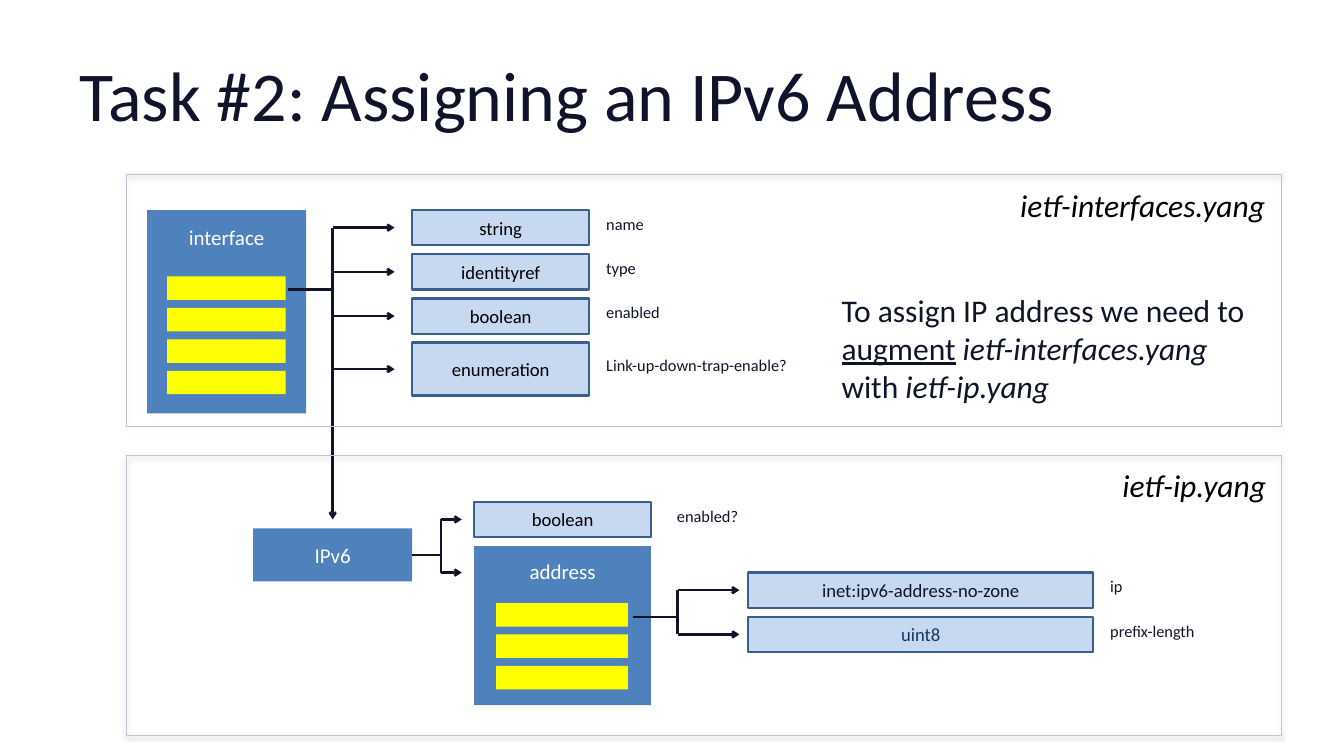
from lxml import etree
from pptx import Presentation
from pptx import util as u
from pptx.dml.color import RGBColor
from pptx.enum import shapes, text
from pptx.oxml.ns import qn

INK, BLUE, PALE, EDGE, YELLOW = "0F142A", "4F81BD", "C6D9F1", "3A5F8C", "FFFF00"
BLACK, WHITE, FRAME = "000000", "FFFFFF", "C3C3CC"
FONT = "Calibri"

# The diagram stands on a square grid that starts at the interface block.
CELL = 2 / 19
LEFT, TOP = 1.75, 2.5
SLOT_STEP, SLOT_HEIGHT = 3.56, 2.66

TITLE = "Task #2: Assigning an IPv6 Address"

# name, block (column, row, columns, rows), name row, slots (column, row, columns), slot count
LISTS = [
    ("interface", (0, 0, 18, 23), 1.14, (2.28, 7.5, 13.4), 4),
    ("address", (37, 38, 20, 18), 39, (39.5, 44.45, 14.9), 3),
]
# type, box (column, row, columns, rows), text colour, leaf name, its (column, row, columns)
LEAVES = [
    ("string", (30, 0, 20, 4), BLACK, "name", (51, 0, 8)),
    ("identityref", (30, 5, 20, 4), BLACK, "type", (51, 5, 7)),
    ("boolean", (30, 10, 20, 4), BLACK, "enabled", (51, 10, 10)),
    ("enumeration", (30, 15, 20, 6), BLACK, "Link-up-down-trap-enable?", (51, 16, 31)),
    ("boolean", (37, 33, 20, 4), BLACK, "enabled?", (59, 33, 11)),
    ("inet:ipv6-address-no-zone", (68, 41, 39, 4), INK, "ip", (108, 41, 4)),
    ("uint8", (68, 46, 39, 4), "17375E", "prefix-length", (108, 46, 15)),
]
IPV6 = (12, 36, 18, 6)
# stem start (column, row), trunk column, arrow tip column, branch rows
TREES = [
    ((16, 9), 21, 28, (2, 7, 12, 18)),
    ((55, 46), 60, 67, (43, 48)),
    ((30, 39), 33.25, 35.6, (35, 41)),
]
IPV6_TREE = 2
# module, frame and name in inches (left, top, width, height)
MODULES = [
    ("ietf-ip.yang", (1.5, 5.42, 13.75, 3.33), (13.13, 5.5, 2.04, 0.56)),
    ("ietf-interfaces.yang", (1.5, 2.08, 13.75, 3), (11.88, 2.17, 3.28, 0.56)),
]
NOTE_BOX = (9.92, 3.42, 5.17, 1.46)
NOTE = [
    ("To assign IP address we need to ", {}),
    ("augment", {"underline": True}),
    (" ", {}),
    ("ietf-interfaces.yang ", {"italic": True}),
    ("with ", {}),
    ("ietf-ip.yang", {"italic": True}),
]


def rgb(value):
    return RGBColor.from_string(value)


def grid(column, row, columns, rows):
    """Turn grid cells into inches."""
    return LEFT + column * CELL, TOP + row * CELL, columns * CELL, rows * CELL


def write(sp, content, size, color, align=text.PP_ALIGN.LEFT,
          anchor=text.MSO_ANCHOR.TOP, italic=None):
    """Fill a shape with a string or with (string, font settings) runs."""
    tf = sp.text_frame
    tf.word_wrap, tf.vertical_anchor = True, anchor
    p = tf.paragraphs[0]
    p.alignment = align
    runs = [(content, {})] if isinstance(content, str) else content
    for words, style in runs:
        r = p.add_run()
        r.text = words
        r.font.name, r.font.size, r.font.italic = FONT, u.Pt(size), italic
        r.font.color.rgb = rgb(color)
        for key, value in style.items():
            setattr(r.font, key, value)


def label(parent, box, content, size, color, **style):
    sp = parent.shapes.add_textbox(*map(u.Inches, box))
    write(sp, content, size, color, **style)


def rect(parent, box, fill=None, line=None, width=2):
    sp = parent.shapes.add_shape(shapes.MSO_SHAPE.RECTANGLE, *map(u.Inches, box))
    sp.shadow.inherit = False
    if fill:
        sp.fill.solid()
        sp.fill.fore_color.rgb = rgb(fill)
    else:
        sp.fill.background()
    if line:
        sp.line.color.rgb, sp.line.width = rgb(line), u.Pt(width)
    else:
        sp.line.fill.background()
    return sp


def cast_shadow(sp):
    effects = sp._element.spPr.find(qn("a:effectLst"))
    shadow = etree.SubElement(effects, qn("a:outerShdw"), blurRad=str(u.Pt(3.1)),
                              dist=str(u.Pt(1.8)), dir="5400000", rotWithShape="0")
    color = etree.SubElement(shadow, qn("a:srgbClr"), val=BLACK)
    etree.SubElement(color, qn("a:alpha"), val="35000")


def connect(slide, start, end, arrow=False):
    x1, y1, x2, y2 = map(u.Inches, grid(*start, 0, 0)[:2] + grid(*end, 0, 0)[:2])
    line = slide.shapes.add_connector(shapes.MSO_CONNECTOR.STRAIGHT, x1, y1, x2, y2)
    line.line.color.rgb, line.line.width = rgb(INK), u.Pt(2)
    etree.SubElement(line._element.spPr, qn("a:effectLst"))
    if arrow:
        etree.SubElement(line.line._get_or_add_ln(), qn("a:tailEnd"), type="arrow")
    return line


def tree(slide, stem, trunk, tip, rows):
    """Draw stem, trunk and branches, and return the stem."""
    for row in rows:
        connect(slide, (trunk, row), (tip, row), arrow=True)
    connect(slide, (trunk, rows[0]), (trunk, rows[-1]))
    return connect(slide, stem, (trunk, stem[1]))


def list_block(slide, name, block, name_row, slots, count):
    group = slide.shapes.add_group_shape()
    rect(group, grid(*block), BLUE)
    label(group, grid(block[0], name_row, block[2], 4.8), name, 18, WHITE,
          align=text.PP_ALIGN.CENTER)
    column, row, columns = slots
    for i in range(count):
        rect(group, grid(column, row + i * SLOT_STEP, columns, SLOT_HEIGHT), YELLOW)


def main():
    prs = Presentation()
    prs.slide_width, prs.slide_height = u.Inches(16), u.Inches(9)
    slide = prs.slides.add_slide(prs.slide_layouts[5])
    centred = {"align": text.PP_ALIGN.CENTER, "anchor": text.MSO_ANCHOR.MIDDLE}

    title = slide.shapes.title
    title.left, title.top, title.width, title.height = map(u.Inches, (0.8, 0.36, 14.4, 1.5))
    title.text_frame.margin_left = title.text_frame.margin_right = u.Inches(0.15)
    write(title, TITLE, 60, INK, anchor=text.MSO_ANCHOR.MIDDLE)

    for block in LISTS:
        list_block(slide, *block)
    for kind, box, color, name, (column, row, columns) in LEAVES:
        write(rect(slide, grid(*box), PALE, EDGE), kind, 16, color, **centred)
        label(slide, grid(column, row, columns, 4), name, 14, INK)
    ipv6 = rect(slide, grid(*IPV6), BLUE)
    write(ipv6, "IPv6", 18, WHITE, **centred)

    stems = [tree(slide, *branch) for branch in TREES]
    stems[IPV6_TREE].begin_connect(ipv6, 3)
    connect(slide, (21, 18), (21, 35), arrow=True)

    for name, frame, name_box in MODULES:
        cast_shadow(rect(slide, frame, line=FRAME, width=0.75))
        label(slide, name_box, name, 27, BLACK, align=text.PP_ALIGN.RIGHT, italic=True)
    write(rect(slide, NOTE_BOX, WHITE), NOTE, 27, INK)
    prs.save("out.pptx")


if __name__ == "__main__":
    main()
